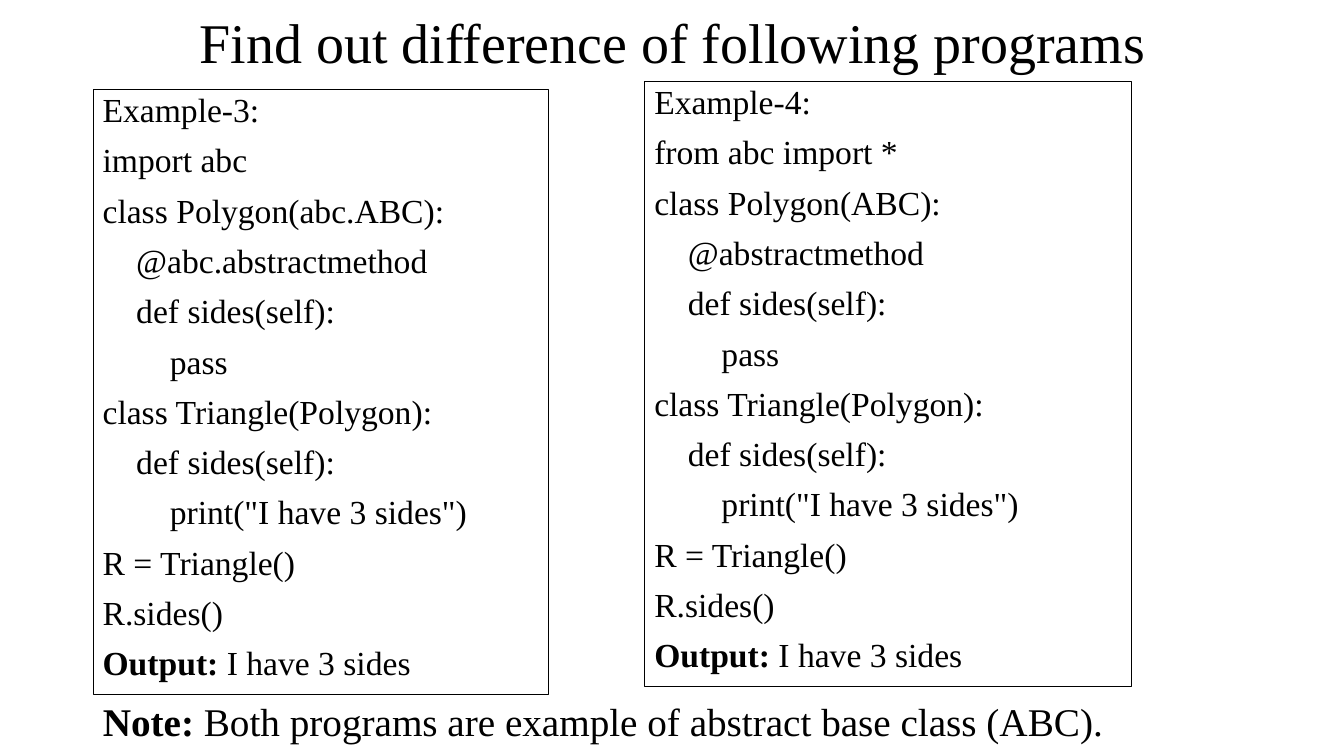
import pptx
import pptx.dml.color
import pptx.enum.text
import pptx.oxml.ns
import pptx.util
import lxml.etree

BLACK = pptx.dml.color.RGBColor(0x00, 0x00, 0x00)
WHITE = pptx.dml.color.RGBColor(0xFF, 0xFF, 0xFF)
ANCHOR = pptx.enum.text.MSO_ANCHOR
FIT = pptx.enum.text.MSO_AUTO_SIZE
ALIGN = pptx.enum.text.PP_ALIGN


class CodeSlide:
    """Holds the text style and the current slide, placed on a 100 by 100 grid."""

    font = {"name": "Times New Roman"}
    tab = pptx.util.Pt(24)

    def __init__(self, deck):
        self.column = deck.slide_width / 100
        self.row = deck.slide_height / 100
        self.slide = deck.slides.add_slide(deck.slide_layouts[1])
        self.slide.background.fill.solid()
        self.slide.background.fill.fore_color.rgb = WHITE

    def cells(self, left, top, width, height):
        return [int(left * self.column), int(top * self.row),
                int(width * self.column), int(height * self.row)]

    def apply(self, target, formats):
        for attribute, value in formats.items():
            setattr(target, attribute, value)

    def set_lines(self, frame, lines, size, anchor=ANCHOR.TOP, fit=FIT.NONE,
                  align=ALIGN.LEFT, before=10):
        self.apply(frame, {"word_wrap": True, "vertical_anchor": anchor,
                           "auto_size": fit})
        for number, (level, label, words) in enumerate(lines):
            line = frame.paragraphs[0] if number == 0 else frame.add_paragraph()
            self.apply(line, {"alignment": align, "line_spacing": 0.9,
                              "space_before": pptx.util.Pt(before)})
            properties = line._p.get_or_add_pPr()
            properties.set("marL", str(level * self.tab))
            properties.set("indent", "0")
            lxml.etree.SubElement(properties, pptx.oxml.ns.qn("a:buNone"))
            for words_part, bold in ((label, True), (words, False)):
                if words_part:
                    run = line.add_run()
                    run.text = words_part
                    self.apply(run.font, {**self.font, "bold": bold,
                                          "size": pptx.util.Pt(size)})
                    run.font.color.rgb = BLACK

    def placeholder(self, index, place, lines, size, **formats):
        holder = self.slide.placeholders[index]
        edges = ("left", "top", "width", "height")
        self.apply(holder, dict(zip(edges, self.cells(*place))))
        self.set_lines(holder.text_frame, lines, size, **formats)

    def title(self, place, words):
        self.placeholder(0, place, [(0, "", words)], 40, anchor=ANCHOR.MIDDLE,
                         align=ALIGN.CENTER, before=0)

    def note(self, place, label, words):
        self.placeholder(1, place, [(0, label, words)], 28)

    def program(self, place, lines):
        listing = self.slide.shapes.add_textbox(*self.cells(*place))
        listing.line.color.rgb = BLACK
        listing.line.width = pptx.util.Pt(0.25)
        self.set_lines(listing.text_frame, lines, 24, fit=FIT.SHAPE_TO_FIT_TEXT)


def polygon_program(example, import_line, prefix):
    return [
        (0, "", f"Example-{example}:"),
        (0, "", import_line),
        (0, "", f"class Polygon({prefix}ABC):"),
        (1, "", f"@{prefix}abstractmethod"),
        (1, "", "def sides(self):"),
        (2, "", "pass"),
        (0, "", "class Triangle(Polygon):"),
        (1, "", "def sides(self):"),
        (2, "", 'print("I have 3 sides")'),
        (0, "", "R = Triangle()"),
        (0, "", "R.sides()"),
        (0, "Output:", " I have 3 sides"),
    ]


deck = pptx.Presentation()
deck.slide_width = pptx.util.Inches(13.33)
deck.slide_height = pptx.util.Inches(7.5)

comparison = CodeSlide(deck)
comparison.program((6.9, 11.73, 33.9, 80.13),
                   polygon_program(3, "import abc", "abc."))
comparison.program((47.94, 10.67, 36.23, 80.13),
                   polygon_program(4, "from abc import *", ""))
comparison.title((6.9, 0.53, 86.27, 10.93),
                 "Find out difference of following programs")
comparison.note((6.9, 92.27, 86.27, 8.67), "Note: ",
                "Both programs are example of abstract base class (ABC).")

deck.save("out.pptx")
